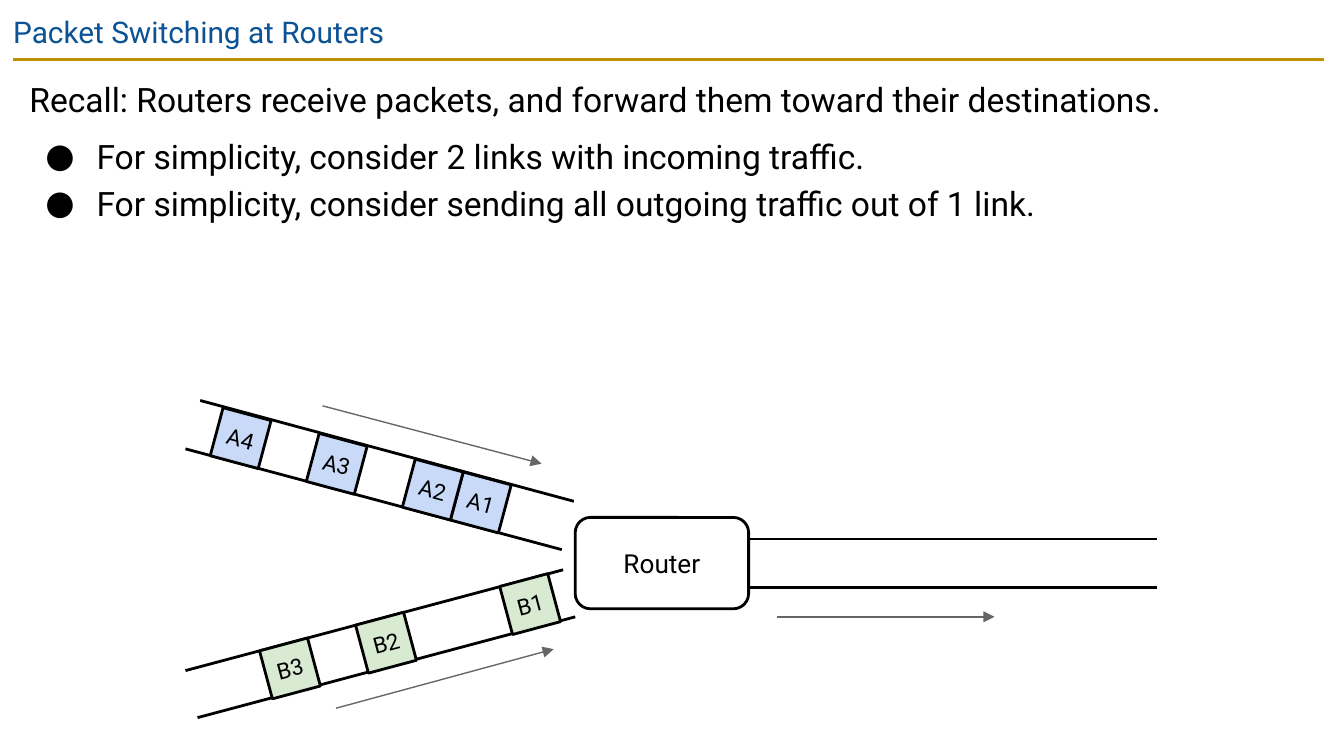
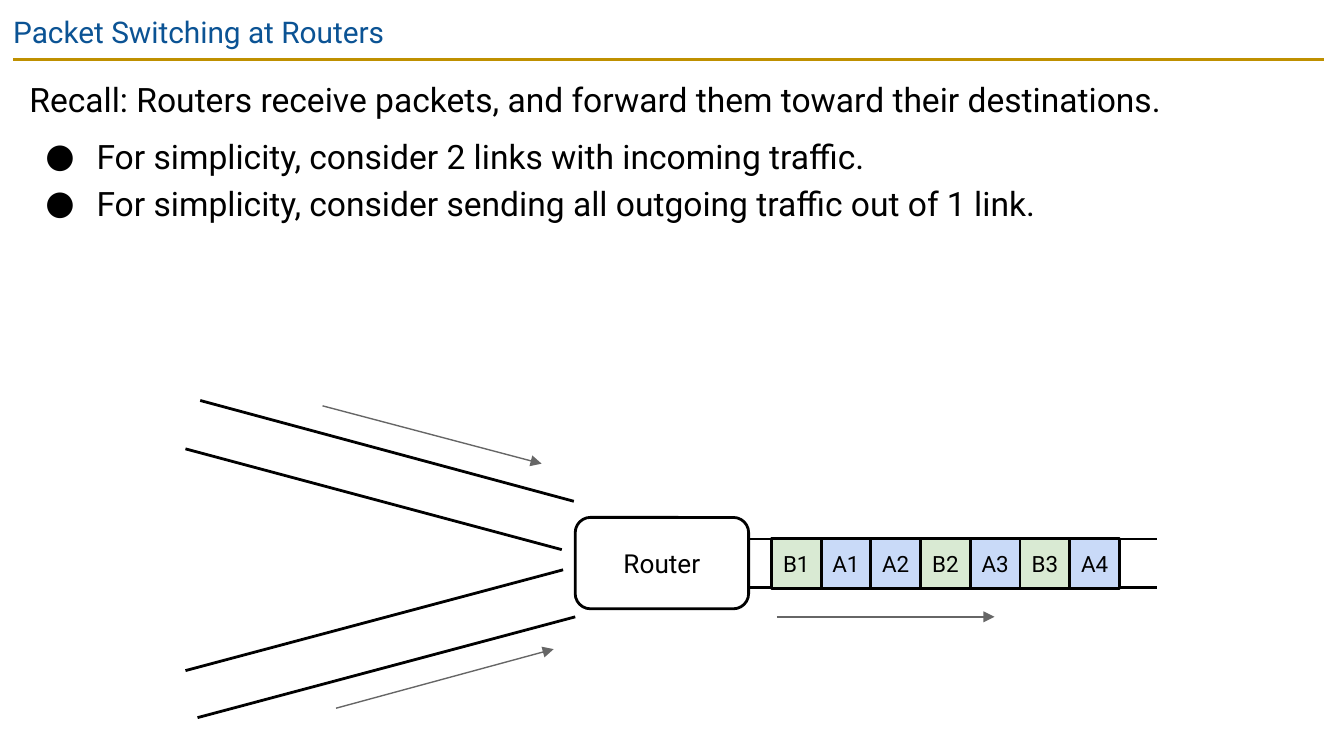
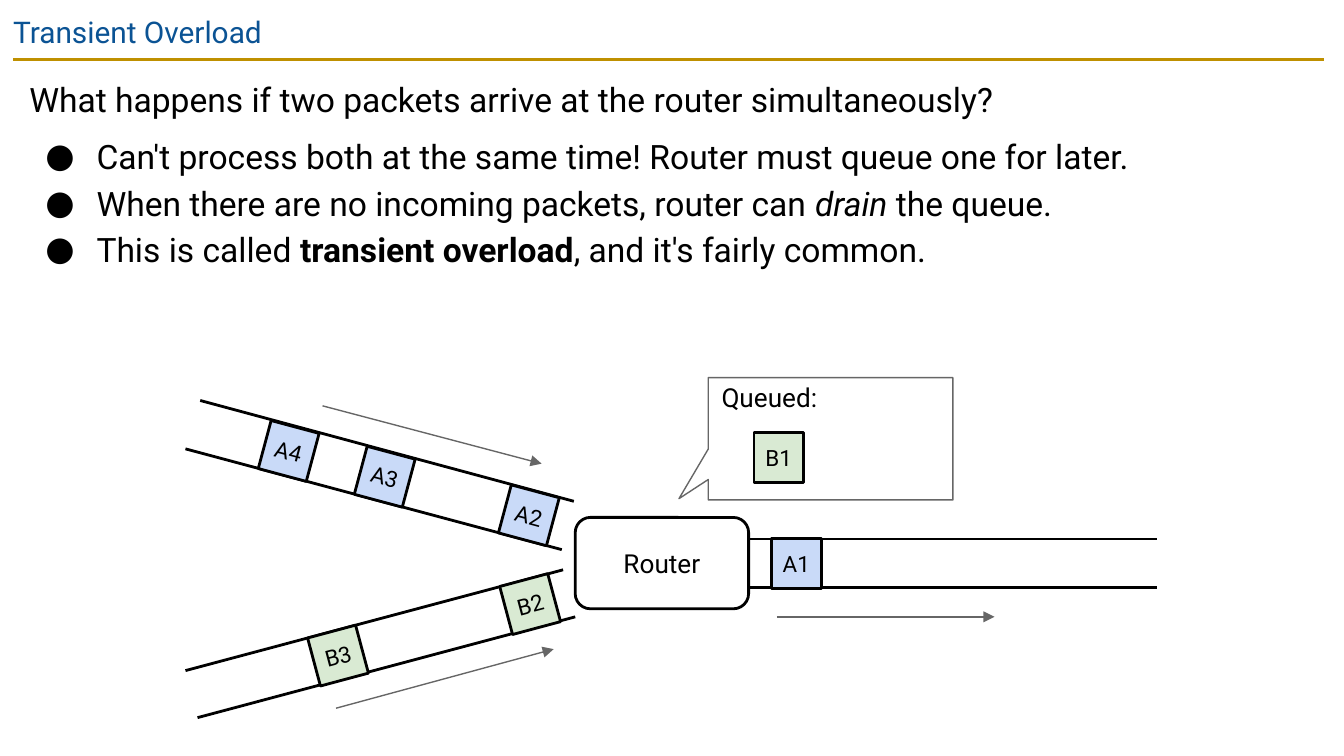
from math import cos, radians, sin

from lxml.etree import SubElement
from pptx import Presentation
from pptx.dml.color import RGBColor
from pptx.enum.shapes import MSO_CONNECTOR as CONNECTOR, MSO_SHAPE as SHAPE
from pptx.enum.text import MSO_ANCHOR as ANCHOR, PP_ALIGN as ALIGN
from pptx.oxml.ns import qn
from pptx.util import Inches, Pt

FONT = "Roboto"
BLACK, GREY, WHITE = "000000", "666666", "FFFFFF"
BLUE, GOLD = "0B5394", "BF9000"
FLOW_FILLS = {"A": "C9DAF8", "B": "D9EAD3"}
PACKET = 0.37  # side of a packet, and length of one slot on a link

# Link: left and top of the slot nearest the router, tilt, direction of further slots
LINKS = {
    "in_a": (3.75, 3.65, 15, -1),
    "in_b": (3.76, 4.31, -15, -1),
    "out": (5.74, 4.01, 0, 1),
    "queue": (5.61, 3.22, 0, 1),
}

LINES = [
    # x1, y1, x2, y2, colour, width, arrow
    (0.1, 0.44, 9.85, 0.44, GOLD, 1.5, False),
    (1.49, 2.98, 4.27, 3.73, BLACK, 1.5, False),
    (1.38, 3.34, 4.18, 4.09, BLACK, 1.5, False),
    (1.38, 4.99, 4.19, 4.24, BLACK, 1.5, False),
    (1.47, 5.34, 4.28, 4.59, BLACK, 1.5, False),
    (5.57, 4.01, 8.61, 4.01, BLACK, 1.5, False),
    (5.57, 4.37, 8.61, 4.37, BLACK, 1.5, False),
    (2.4, 3.02, 4.03, 3.45, GREY, 0.75, True),
    (2.5, 5.27, 4.12, 4.83, GREY, 0.75, True),
    (5.78, 4.59, 7.4, 4.59, GREY, 0.75, True),
]

SWITCHING_TEXT = [
    "Recall: Routers receive packets, and forward them toward their destinations.",
    "For simplicity, consider 2 links with incoming traffic.",
    "For simplicity, consider sending all outgoing traffic out of 1 link.",
]
OVERLOAD_TEXT = [
    "What happens if two packets arrive at the router simultaneously?",
    "Can't process both at the same time! Router must queue one for later.",
    [("When there are no incoming packets, router can ", ""), ("drain", "italic"),
     (" the queue.", "")],
    [("This is called ", ""), ("transient overload", "bold"),
     (", and it's fairly common.", "")],
]

# Title, body, body height, packets by link as {name: slot}
SLIDES = [
    ("Packet Switching at Routers", SWITCHING_TEXT, 1.42, {
        "in_a": {"A1": 1, "A2": 2, "A3": 4, "A4": 6},
        "in_b": {"B1": 0, "B2": 3, "B3": 5},
    }),
    ("Packet Switching at Routers", SWITCHING_TEXT, 1.42, {
        "out": {"B1": 0, "A1": 1, "A2": 2, "B2": 3, "A3": 4, "B3": 5, "A4": 6},
    }),
    ("Transient Overload", OVERLOAD_TEXT, 1.91, {
        "in_a": {"A2": 0, "A3": 3, "A4": 5},
        "in_b": {"B2": 0, "B3": 4},
        "out": {"A1": 0},
        "queue": {"B1": 0},
    }),
]


def write(shape, *paragraphs, size, color=BLACK, align=ALIGN.LEFT, anchor=ANCHOR.TOP,
          inset=(0.1, 0.1), spacing=None):
    """Fill a shape with text; paragraphs after the first are bullets."""
    frame = shape.text_frame
    frame.word_wrap = True
    frame.vertical_anchor = anchor
    frame.margin_left = frame.margin_right = Inches(inset[0])
    frame.margin_top = frame.margin_bottom = Inches(inset[1])
    for number, content in enumerate(paragraphs):
        paragraph = frame.add_paragraph() if number else frame.paragraphs[0]
        if number:
            properties = paragraph._p.get_or_add_pPr()
            properties.set("marL", str(Inches(0.5)))
            properties.set("indent", str(Inches(-0.38)))
            bullet_color = SubElement(properties, qn("a:buClr"))
            SubElement(bullet_color, qn("a:srgbClr"), val=color)
            SubElement(properties, qn("a:buFont"), typeface=FONT)
            SubElement(properties, qn("a:buChar"), char="●")
        paragraph.alignment = align
        paragraph.line_spacing = spacing
        if number == 1:
            paragraph.space_before = Pt(6)
        for words, style in [(content, "")] if isinstance(content, str) else content:
            run = paragraph.add_run()
            run.text = words
            run.font.name = FONT
            run.font.size = Pt(size)
            run.font.color.rgb = RGBColor.from_string(color)
            run.font.bold = style == "bold"
            run.font.italic = style == "italic"


def add_block(slide, kind, left, top, width, height, fill=None, line=BLACK, weight=1.5):
    block = slide.shapes.add_shape(
        kind, Inches(left), Inches(top), Inches(width), Inches(height))
    block.shadow.inherit = False
    if fill:
        block.fill.solid()
        block.fill.fore_color.rgb = RGBColor.from_string(fill)
    else:
        block.fill.background()
    block.line.color.rgb = RGBColor.from_string(line)
    block.line.width = Pt(weight)
    return block


prs = Presentation()
prs.slide_width = Inches(10)
prs.slide_height = prs.slide_width * 9 // 16

for title, body, body_height, traffic in SLIDES:
    slide = prs.slides.add_slide(prs.slide_layouts[6])
    heading = slide.shapes.add_textbox(0, 0, Inches(10), Inches(0.43))
    write(heading, title, size=16, color=BLUE)
    explanation = slide.shapes.add_textbox(
        Inches(0.12), Inches(0.44), Inches(9.74), Inches(body_height))
    write(explanation, *body, size=18, spacing=1.15)

    for x1, y1, x2, y2, color, weight, arrow in LINES:
        line = slide.shapes.add_connector(
            CONNECTOR.STRAIGHT, Inches(x1), Inches(y1), Inches(x2), Inches(y2))
        line.line.color.rgb = RGBColor.from_string(color)
        line.line.width = Pt(weight)
        if arrow:
            SubElement(line.get_or_add_ln(), qn("a:tailEnd"), type="triangle")
        SubElement(line._element.spPr, qn("a:effectLst"))

    router = add_block(slide, SHAPE.ROUNDED_RECTANGLE, 4.28, 3.85, 1.29, 0.68)
    write(router, "Router", size=14, align=ALIGN.CENTER, anchor=ANCHOR.MIDDLE)

    if "queue" in traffic:
        queue = add_block(slide, SHAPE.ROUNDED_RECTANGULAR_CALLOUT, 5.27, 2.81, 1.82, 0.91,
                          fill=WHITE, line=GREY, weight=0.75)
        for index, value in enumerate((-0.62, 0.49, 0)):
            queue.adjustments[index] = value
        write(queue, "Queued:", size=14, inset=(0.1, 0.03))

    for link, packets in traffic.items():
        left, top, tilt, direction = LINKS[link]
        for name, slot in packets.items():
            distance = direction * slot * PACKET
            packet = add_block(slide, SHAPE.RECTANGLE,
                               left + distance * cos(radians(tilt)),
                               top + distance * sin(radians(tilt)),
                               PACKET, PACKET, fill=FLOW_FILLS[name[0]])
            packet.rotation = tilt
            write(packet, name, size=12, align=ALIGN.CENTER, anchor=ANCHOR.MIDDLE,
                  inset=(0, 0))

prs.save("out.pptx")
